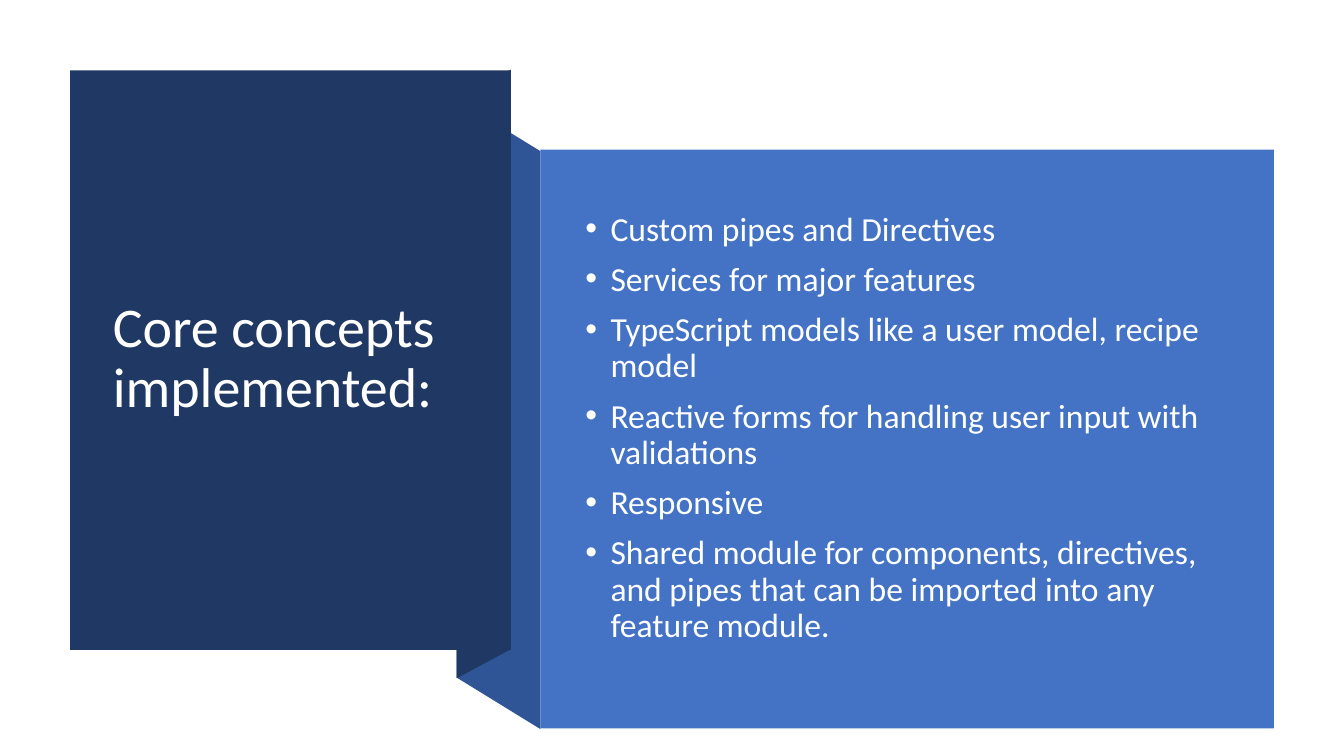
import pptx
import pptx.util
import pptx.dml.color
import pptx.enum.shapes
import pptx.enum.text
import pptx.oxml.ns
import lxml.etree

Pt = pptx.util.Pt
COLORS = {"navy": "203864", "fold": "2F5597", "blue": "4472C4",
          "white": "FFFFFF", "body": "FEFFFF"}

deck = pptx.Presentation()
deck.slide_width, deck.slide_height = Pt(960), Pt(540)
slide = deck.slides.add_slide(deck.slide_layouts[6])


def paint(shape, color):
    shape.shadow.inherit = False
    shape.fill.solid()
    shape.fill.fore_color.rgb = pptx.dml.color.RGBColor.from_string(COLORS[color])
    shape.line.fill.background()


def write(lines, *, box, size, color, bullet=False, before=0):
    frame = slide.shapes.add_textbox(*map(Pt, box)).text_frame
    frame.word_wrap = True
    frame.vertical_anchor = pptx.enum.text.MSO_ANCHOR.MIDDLE
    for i, line in enumerate(lines):
        para = frame.paragraphs[0] if i == 0 else frame.add_paragraph()
        para.line_spacing = 0.9
        para.space_before = Pt(before)
        run = para.add_run()
        run.text = line
        run.font.name = "Calibri"
        run.font.size = Pt(size)
        run.font.color.rgb = pptx.dml.color.RGBColor.from_string(COLORS[color])
        if bullet:
            props = para._p.get_or_add_pPr()
            props.set("marL", str(Pt(18)))
            props.set("indent", str(-Pt(18)))
            font = lxml.etree.SubElement(props, pptx.oxml.ns.qn("a:buFont"))
            font.set("typeface", "Arial")
            mark = lxml.etree.SubElement(props, pptx.oxml.ns.qn("a:buChar"))
            mark.set("char", "•")


# Ribbon folds behind the title panel
folds = [
    ("fold", [(386, 520.8), (326.2, 484), (326.2, 71.3), (386, 108)]),
    ("navy", [(364.7, 463.9), (326.2, 484.5), (326.2, 70.5), (364.7, 49.7)]),
]
for color, points in folds:
    corners = [(Pt(x), Pt(y)) for x, y in points]
    pen = slide.shapes.build_freeform(*corners[0])
    pen.add_line_segments(corners[1:], close=True)
    paint(pen.convert_to_shape(), color)

# Title and list panels
panels = [("navy", (50, 50.2, 315, 414)), ("blue", (386, 106.8, 524, 413.5))]
for color, box in panels:
    panel = slide.shapes.add_shape(
        pptx.enum.shapes.MSO_SHAPE.RECTANGLE, *map(Pt, box))
    paint(panel, color)

# Title
write(["Core concepts implemented:"], box=(73.5, 77, 267, 359.5),
      size=40, color="white")

# Concept list
concepts = [
    "Custom pipes and Directives",
    "Services for major features",
    "TypeScript models like a user model, recipe model",
    "Reactive forms for handling user input with validations",
    "Responsive",
    "Shared module for components, directives, and pipes that can be "
    "imported into any feature module.",
]
write(concepts, box=(411, 135.5, 469, 341), size=24, color="body",
      bullet=True, before=10)

deck.save("out.pptx")
